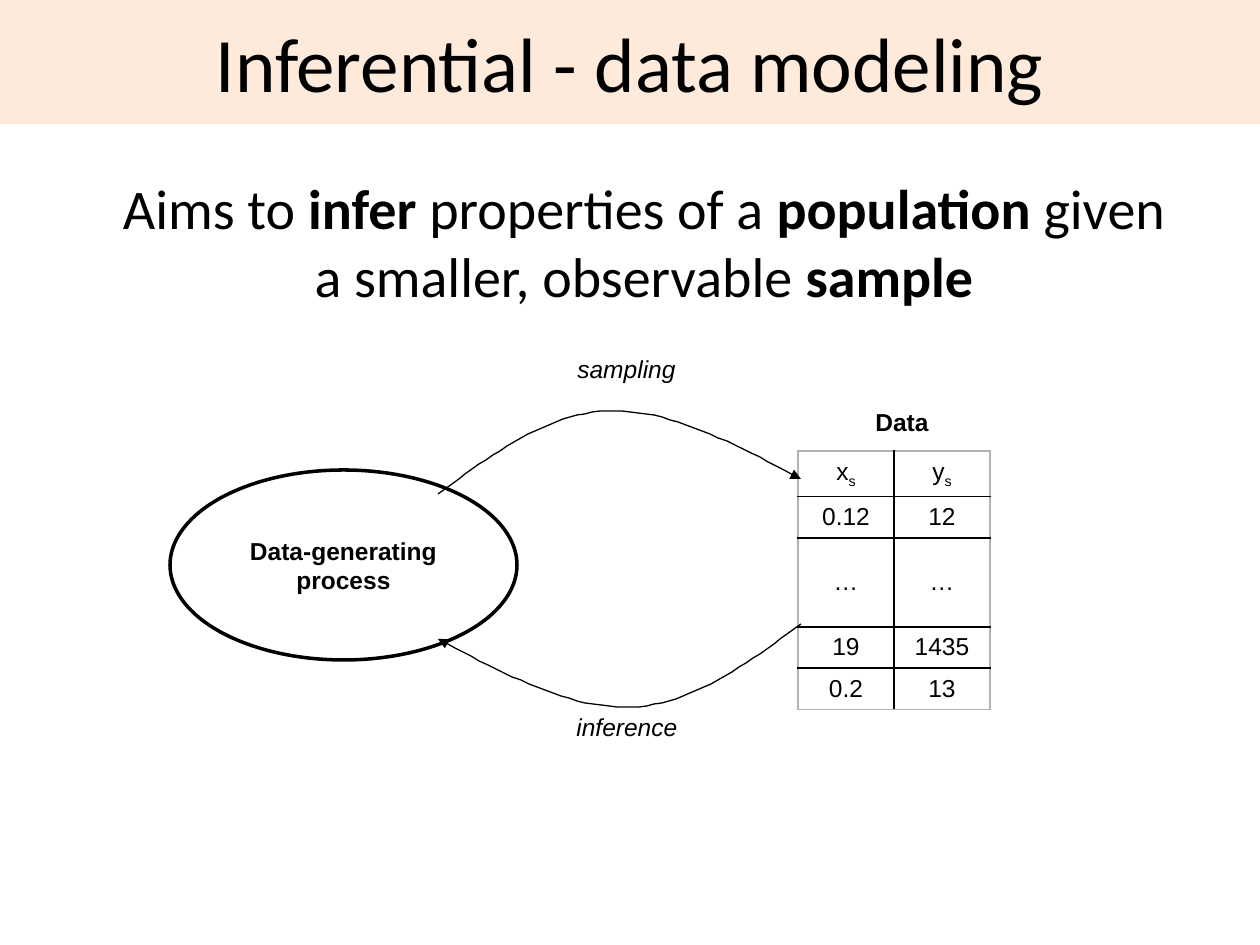
from lxml import etree
from pptx import Presentation
from pptx import util as u
from pptx.dml.color import RGBColor
from pptx.enum import shapes, text
from pptx.oxml import ns

SCALE = 914400 / 126
BLACK = RGBColor(0, 0, 0)
WHITE = RGBColor(255, 255, 255)
PEACH = RGBColor(0xFD, 0xEA, 0xDA)
GREY = RGBColor(0xB2, 0xB2, 0xB2)

TITLE = {"name": "Calibri", "size": u.Pt(44)}
BODY = {"name": "Calibri", "size": u.Pt(32)}
LABEL = {"name": "Arial", "size": u.Pt(14)}
BOLD = {**LABEL, "bold": True}
ITALIC = {**LABEL, "italic": True}

CENTER = text.PP_ALIGN.CENTER
MIDDLE = text.MSO_ANCHOR.MIDDLE

ROWS = [("x", "y"), ("0.12", "12"), ("…", "…"), ("19", "1435"), ("0.2", "13")]
ROW_HEIGHTS = [44, 40, 89, 40, 40]
COLUMN_WIDTH = 96
SAMPLING = [(438, 494), (493, 454), (547, 413), (607, 411),
            (668, 408), (735, 444), (801, 479)]


def px(value):
    return u.Emu(round(value * SCALE))


def set_all(target, values):
    for name, value in values.items():
        setattr(target, name, value)


def add_span(para, words, style, **extra):
    span = para.add_run()
    span.text = words
    set_all(span.font, {**style, **extra})
    span.font.color.rgb = BLACK
    return span


def write(frame, spans, style, align=CENTER, **settings):
    set_all(frame, settings)
    para = frame.paragraphs[0]
    para.alignment = align
    for words, extra in spans:
        add_span(para, words, style, **extra)
    return para


def add_text(page, at, spans, style, **settings):
    box = page.shapes.add_textbox(*map(px, at))
    return write(box.text_frame, spans, style, **settings)


def add_panel(page, kind, at, fill, words, style, line_width=0):
    panel = page.shapes.add_shape(kind, *map(px, at))
    panel.shadow.inherit = False
    panel.fill.solid()
    panel.fill.fore_color.rgb = fill
    if line_width:
        panel.line.color.rgb = BLACK
        panel.line.width = u.Pt(line_width)
    else:
        panel.line.fill.background()
    write(panel.text_frame, [(words, {})], style,
          word_wrap=True, vertical_anchor=MIDDLE)


def bezier(start, first, second, end, steps=24):
    for step in range(1, steps + 1):
        t = step / steps
        weights = ((1 - t) ** 3, 3 * t * (1 - t) ** 2, 3 * t * t * (1 - t), t ** 3)
        yield tuple(sum(w * p[axis] for w, p in zip(weights, (start, first, second, end)))
                    for axis in (0, 1))


def add_curved_arrow(page, points):
    builder = page.shapes.build_freeform(*points[0], scale=SCALE)
    for index in range(0, len(points) - 1, 3):
        builder.add_line_segments(bezier(*points[index:index + 4]), close=False)
    curve = builder.convert_to_shape()
    curve.shadow.inherit = False
    curve.fill.background()
    curve.line.color.rgb = BLACK
    curve.line.width = u.Pt(0.75)
    etree.SubElement(curve.line._get_or_add_ln(), ns.qn("a:tailEnd"), type="triangle")


def add_border(cell, side, color):
    border = etree.SubElement(cell._tc.get_or_add_tcPr(), ns.qn(f"a:ln{side}"),
                              w=str(u.Pt(1)))
    fill = etree.SubElement(border, ns.qn("a:solidFill"))
    etree.SubElement(fill, ns.qn("a:srgbClr"), val=str(color))


def add_data_table(page, left, top):
    count = len(ROWS[0])
    frame = page.shapes.add_table(len(ROWS), count, px(left), px(top),
                                  px(COLUMN_WIDTH * count), px(sum(ROW_HEIGHTS)))
    table = frame.table
    set_all(table, {"first_row": False, "horz_banding": False})
    for column in table.columns:
        column.width = px(COLUMN_WIDTH)
    for r, (values, height) in enumerate(zip(ROWS, ROW_HEIGHTS)):
        table.rows[r].height = px(height)
        for c, value in enumerate(values):
            cell = table.cell(r, c)
            set_all(cell, {"vertical_anchor": MIDDLE} | {
                f"margin_{side}": px(6) for side in ("left", "right", "top", "bottom")})
            para = write(cell.text_frame, [(value, {})], LABEL)
            if r == 0:
                subscript = add_span(para, "s", LABEL)
                subscript.font._element.set("baseline", "-25000")
            edges = {"L": c == 0, "R": c == count - 1,
                     "T": r == 0, "B": r == len(ROWS) - 1}
            for side, outer in edges.items():
                add_border(cell, side, GREY if outer else BLACK)
            cell.fill.background()


def main():
    deck = Presentation()
    set_all(deck, {"slide_width": px(1260), "slide_height": px(945)})
    page = deck.slides.add_slide(deck.slide_layouts[6])

    add_panel(page, shapes.MSO_SHAPE.RECTANGLE, (0, 0, 1260, 124), PEACH,
              "Inferential - data modeling", TITLE)
    strong = {"bold": True}
    aim = add_text(page, (63, 161, 1134, 136), [
        ("Aims to ", {}), ("infer", strong), (" properties of a ", {}),
        ("population", strong), (" given a smaller, observable ", {}),
        ("sample", strong)], BODY, word_wrap=True, margin_top=px(13))
    aim._p.get_or_add_pPr().set("marL", str(px(28)))

    add_panel(page, shapes.MSO_SHAPE.OVAL, (170, 470, 347, 190), WHITE,
              "Data-generating process", BOLD, line_width=2)
    add_data_table(page, 798, 451)
    add_text(page, (863, 401, 88, 50), [("Data", {})], BOLD,
             align=text.PP_ALIGN.LEFT, word_wrap=False)

    add_curved_arrow(page, SAMPLING)
    add_curved_arrow(page, [(1239 - x, 1118 - y) for x, y in SAMPLING])
    for words, at in (("sampling", (564, 348, 125, 43)),
                      ("inference", (551, 706, 152, 50))):
        add_text(page, at, [(words, {})], ITALIC, word_wrap=False)

    deck.save("out.pptx")


if __name__ == "__main__":
    main()
